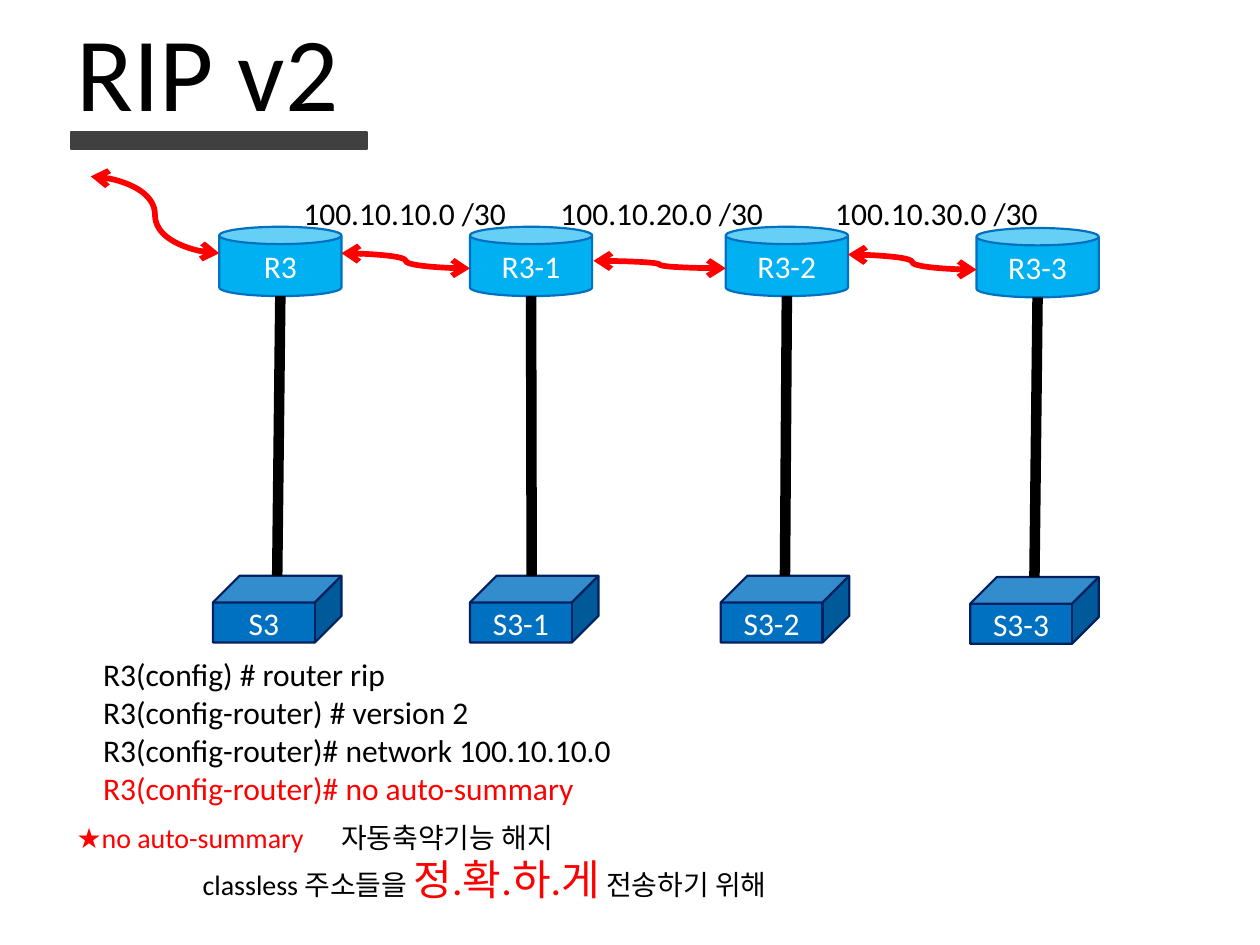
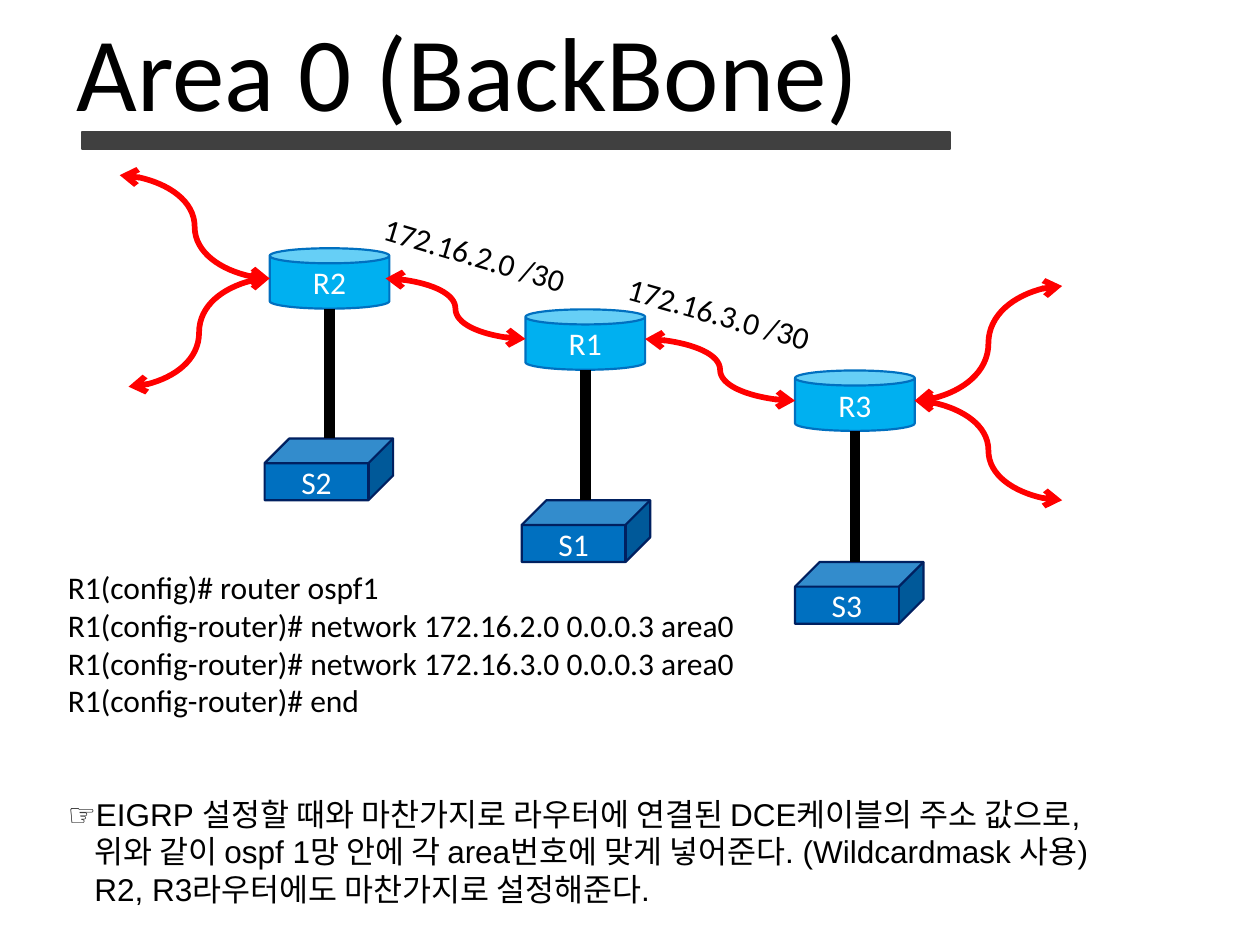
from lxml import etree
from pptx import Presentation
from pptx.dml.color import RGBColor
from pptx.enum.shapes import MSO_CONNECTOR, MSO_SHAPE
from pptx.enum.text import MSO_ANCHOR, MSO_AUTO_SIZE, PP_ALIGN
from pptx.oxml.ns import qn
from pptx.util import Inches, Pt

BLACK = RGBColor(0x00, 0x00, 0x00)
WHITE = RGBColor(0xFF, 0xFF, 0xFF)
RED = RGBColor(0xFF, 0x00, 0x00)
BAR_GRAY = RGBColor(0x40, 0x40, 0x40)
ROUTER_FILL = RGBColor(0x00, 0xB0, 0xF0)
MID_BLUE = RGBColor(0x00, 0x70, 0xC0)
NAVY = RGBColor(0x00, 0x20, 0x60)

CAN, CUBE, MINUS = MSO_SHAPE.CAN, MSO_SHAPE.CUBE, MSO_SHAPE.MATH_MINUS
CURVE, STRAIGHT = MSO_CONNECTOR.CURVE, MSO_CONNECTOR.STRAIGHT
MIDDLE, CENTER = MSO_ANCHOR.MIDDLE, PP_ALIGN.CENTER
GROW = MSO_AUTO_SIZE.SHAPE_TO_FIT_TEXT

LATIN, SANS, KOREAN = "Calibri", "Arial", "Noto Sans CJK KR"
WIDTH, HEIGHT = Inches(10), Inches(7.5)
COLUMNS, ROWS = 100, 75


def cols(n):
    """Return the length of n grid columns."""
    return round(WIDTH * n / COLUMNS)


def rows(n):
    """Return the length of n grid rows."""
    return round(HEIGHT * n / ROWS)


def grid(x, y, w, h):
    """Turn a box in grid units into slide lengths."""
    return cols(x), rows(y), cols(w), rows(h)


def add_run(p, text, size=18, color=BLACK, font=LATIN):
    """Append a formatted run with its Korean font."""
    r = p.add_run()
    r.text = text
    r.font.size = Pt(size)
    r.font.name = font
    r.font.color.rgb = color
    ea = etree.SubElement(r._r.get_or_add_rPr(), qn("a:ea"))
    ea.set("typeface", KOREAN)


def add_text(s, box, paragraphs, wrap=False, rotation=0):
    """Add a text box of paragraphs, each a list of run arguments."""
    sp = s.shapes.add_textbox(*grid(*box))
    sp.rotation = rotation
    tf = sp.text_frame
    tf.word_wrap = wrap
    tf.auto_size = GROW
    for i, runs in enumerate(paragraphs):
        p = tf.add_paragraph() if i else tf.paragraphs[0]
        for run in runs:
            add_run(p, *run)
    return tf.paragraphs


def add_solid(s, kind, box, fill, line, label=""):
    """Add a filled shape with an optional centred white label."""
    sp = s.shapes.add_shape(kind, *grid(*box))
    sp.shadow.inherit = False
    sp.fill.solid()
    sp.fill.fore_color.rgb = fill
    sp.line.color.rgb = line
    sp.line.width = Pt(1.25)
    if label:
        sp.text_frame.vertical_anchor = MIDDLE
        p = sp.text_frame.paragraphs[0]
        p.alignment = CENTER
        add_run(p, label, color=WHITE)
    return sp


def add_line(s, kind, start, end, color, width):
    """Add a plain connector between two grid points."""
    cx = s.shapes.add_connector(kind, cols(start[0]), rows(start[1]),
                                cols(end[0]), rows(end[1]))
    cx.line.color.rgb = color
    cx.line.width = Pt(width)
    etree.SubElement(cx._element.spPr, qn("a:effectLst"))
    return cx


def add_serial_link(s, start, end):
    """Add a red curved link with arrowheads at both ends."""
    cx = add_line(s, CURVE, start, end, RED, 3.25)
    ln = cx.line._get_or_add_ln()
    for tag in ("a:headEnd", "a:tailEnd"):
        etree.SubElement(ln, qn(tag)).set("type", "arrow")


def add_title(s, box, text, bar_x, bar_width):
    """Add the large title and the thick bar under it."""
    x, y, w, h = box
    add_solid(s, MINUS, (x + bar_x, y + 8.4, bar_width, 5.5), BAR_GRAY, BAR_GRAY)
    add_text(s, box, [[(text, 60)]])


def add_network(s, box, router_size, switch_size, nodes, links, labels):
    """Add routers, switches, cables, links and addresses inside a box."""
    x, y, label_w, label_h = box
    rw, rh = router_size
    sw, sh = switch_size
    for router, switch, rx, ry, sx, sy, foot in nodes:
        add_solid(s, CAN, (x + rx, y + ry, rw, rh), ROUTER_FILL, MID_BLUE, router)
        cube = add_solid(s, CUBE, (x + sx, y + sy, sw, sh), MID_BLUE, NAVY, switch)
        cube.adjustments[0] = 0.4
        add_line(s, STRAIGHT, (x + rx + rw / 2, y + ry + rh), (x + foot, y + sy), BLACK, 6)
    for x1, y1, x2, y2 in links:
        add_serial_link(s, (x + x1, y + y1), (x + x2, y + y2))
    for text, lx, ly, angle in labels:
        add_text(s, (x + lx, y + ly, label_w, label_h), [[(text,)]], rotation=angle)


def add_summary_note(s, box):
    """Add the note on switching automatic summaries off."""
    first, second = add_text(s, box, [
        [("★no auto-summary", 16, RED), ("\t자동축약기능 해지", 16)],
        [("\tclassless 주소들을 ", 16), ("정.확.하.게", 24, RED), (" 전송하기 위해", 16)],
    ], wrap=True)
    for p, stop in ((first, 21), (second, 10)):
        tabs = etree.SubElement(p._p.get_or_add_pPr(), qn("a:tabLst"))
        etree.SubElement(tabs, qn("a:tab"), pos=str(cols(stop)), algn="l")


def build_rip(s):
    """Build the RIP v2 slide."""
    add_title(s, (5.1, 0, 23, 11.1), "RIP v2", -3.7, 32)
    commands = ["R3(config) # router rip", "R3(config-router) # version 2",
                "R3(config-router)# network 100.10.10.0"]
    add_text(s, (7.2, 51.5, 42.8, 19.2), [[(c,)] for c in commands]
             + [[("R3(config-router)# no auto-summary", 18, RED)]])
    add_summary_note(s, (5.1, 64.6, 60.2, 10.8))
    nodes = [("R3", "S3", 10.2, 4, 9.7, 31.7, 14.8),
             ("R3-1", "S3-1", 30.1, 4, 30.1, 31.7, 35),
             ("R3-2", "S3-2", 50.4, 4, 50, 31.7, 55.1),
             ("R3-3", "S3-3", 70.3, 4.1, 69.8, 31.8, 74.9)]
    links = [(0, 0, 10.2, 6.1), (19.9, 6.1, 30.1, 7.3),
             (39.9, 6.7, 50.4, 7.3), (60.1, 6.2, 70.3, 7.4)]
    labels = [(f"100.10.{net}.0 /30", lx, 0.9, 0)
              for net, lx in ((10, 15.9), (20, 36.3), (30, 58.1))]
    add_network(s, (7.2, 14, 18.3, 4), (9.7, 5.5), (10.2, 5.3), nodes, links, labels)


def add_ospf_text(s, box):
    """Add the OSPF commands and the explanation below them."""
    commands = ["R1(config)# router ospf1",
                "R1(config-router)# network 172.16.2.0 0.0.0.3 area0",
                "R1(config-router)# network 172.16.3.0 0.0.0.3 area0",
                "R1(config-router)# end"]
    notes = ["☞EIGRP 설정할 때와 마찬가지로 라우터에 연결된 DCE케이블의 주소 값으로,",
             "위와 같이 ospf 1망 안에 각 area번호에 맞게 넣어준다. (Wildcardmask 사용)",
             "R2, R3라우터에도 마찬가지로 설정해준다."]
    paragraphs = add_text(s, box, [[(c,)] for c in commands]
                          + [[(n, 18, BLACK, SANS)] for n in notes])
    paragraphs[len(commands)].space_before = Pt(43)
    for p in paragraphs[len(commands) + 1:]:
        p._p.get_or_add_pPr().set("marL", str(cols(2.1)))


def build_backbone(s):
    """Build the OSPF backbone area slide."""
    add_title(s, (5.1, 0, 64.7, 11.1), "Area 0 (BackBone)", -11, 93.7)
    places = [("2", 11.9, 11.5), ("1", 32.2, 31.9), ("3", 53.6, 53.6)]
    nodes = [(f"R{n}", f"S{n}", rx, 5.8 + 4.85 * i, sx, 20.9 + 4.9 * i, rx + 4.75)
             for i, (n, rx, sx) in enumerate(places)]
    links = [(21.1, 8.2, 32.2, 13), (41.7, 13, 53.6, 17.9),
             (63.1, 17.9, 74.8, 25.8), (63.1, 17.9, 74.8, 8.8),
             (0, 0, 11.9, 8.2), (0.7, 16.8, 11.9, 8.2)]
    labels = [("172.16.2.0 /30", 19.8, 4.3, 16.5), ("172.16.3.0 /30", 39.2, 9, 16)]
    add_network(s, (9.5, 13.9, 17, 3.8), (9.5, 4.8), (10.2, 4.9), nodes, links, labels)
    add_ospf_text(s, (4.4, 44.6, 90.9, 28.3))


def main():
    """Build and save the presentation."""
    prs = Presentation()
    prs.slide_width, prs.slide_height = WIDTH, HEIGHT
    for build in (build_rip, build_backbone):
        build(prs.slides.add_slide(prs.slide_layouts[6]))
    prs.save("out.pptx")


if __name__ == "__main__":
    main()
